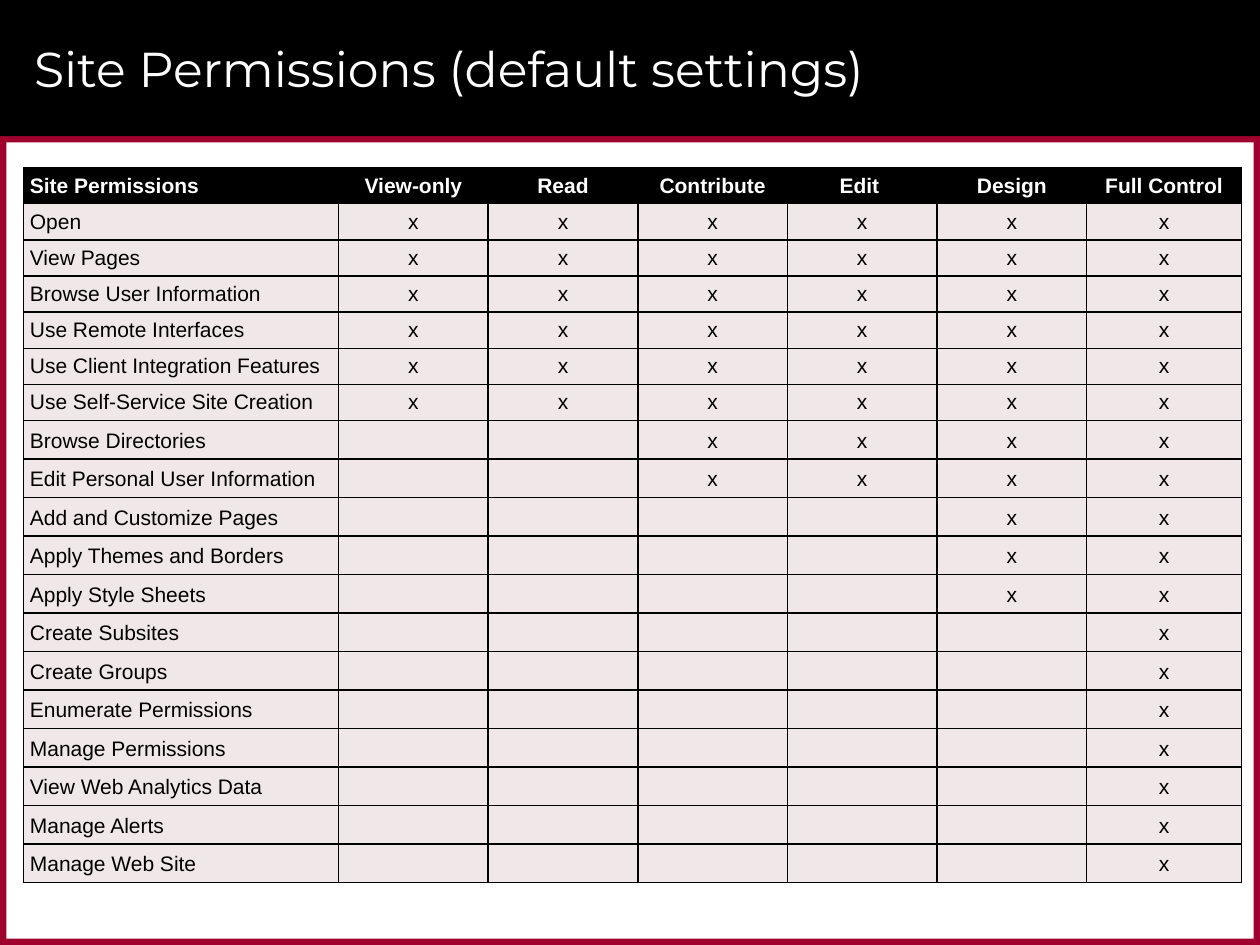
from lxml.etree import SubElement
from pptx import Presentation
from pptx.dml.color import RGBColor
from pptx.enum.shapes import MSO_SHAPE
from pptx.enum.text import MSO_ANCHOR, PP_ALIGN
from pptx.oxml import parse_xml
from pptx.oxml.ns import nsdecls, qn
from pptx.util import Pt

BLACK = RGBColor(0x00, 0x00, 0x00)
WHITE = RGBColor(0xFF, 0xFF, 0xFF)
CRIMSON = RGBColor(0x9F, 0x00, 0x2D)
BLUSH = RGBColor(0xF0, 0xE7, 0xE8)

SLIDE_WIDTH, SLIDE_HEIGHT = 720, 540
HEADER_HEIGHT = 77.76
FRAME_THICKNESS = 3.6
CELL_MARGIN = 3.6

LEVELS = ["View-only", "Read", "Contribute", "Edit ", "Design", "Full Control"]
COLUMN_WIDTHS = [180] + [85.5] * 5 + [88.5]
FULL_ROW_HEIGHT, PARTIAL_ROW_HEIGHT = 20.66, 21.85

# Each permission belongs to its lowest level and to every level above it.
PERMISSIONS_BY_LOWEST_LEVEL = {
    "View-only": ["Open", "View Pages", "Browse User Information",
                  "Use Remote Interfaces", "Use Client Integration Features",
                  "Use Self-Service Site Creation"],
    "Contribute": ["Browse Directories", "Edit Personal User Information"],
    "Design": ["Add and Customize Pages", "Apply Themes and Borders",
               "Apply Style Sheets"],
    "Full Control": ["Create Subsites", "Create Groups", "Enumerate Permissions",
                     "Manage Permissions", "View Web Analytics Data",
                     "Manage Alerts", "Manage Web Site"],
}


def add_band(slide, left, top, width, height, color):
    band = slide.shapes.add_shape(
        MSO_SHAPE.RECTANGLE, Pt(left), Pt(top), Pt(width), Pt(height))
    band.shadow.inherit = False
    band.fill.solid()
    band.fill.fore_color.rgb = color
    band.line.fill.background()


def add_frame(slide, left, top, width, height):
    right, bottom = left + width, top + height
    thickness = FRAME_THICKNESS
    add_band(slide, left, top, width, thickness, CRIMSON)
    add_band(slide, left, bottom - thickness, width, thickness, CRIMSON)
    add_band(slide, right - thickness, top, thickness, height, CRIMSON)
    add_band(slide, left, top, thickness, height, CRIMSON)


def add_header(slide, left, top, width, height, text):
    add_band(slide, left, top, width, height, BLACK)
    title = slide.shapes.title
    title.element.getparent().append(title.element)  # in front of the band
    title.left, title.top = Pt(left + 12.24), Pt(top + 5.76)
    title.width, title.height = Pt(width - 41.76), Pt(height - 11.52)
    frame = title.text_frame
    frame.text = text
    frame.word_wrap = True
    frame.vertical_anchor = MSO_ANCHOR.MIDDLE
    paragraph = frame.paragraphs[0]
    paragraph.alignment = PP_ALIGN.LEFT
    paragraph.font.name = "Montserrat"
    paragraph.font.size = Pt(28)
    paragraph.font.color.rgb = WHITE


def set_borders(cell):
    properties = cell._tc.get_or_add_tcPr()
    for index, side in enumerate(("lnL", "lnR", "lnT", "lnB")):
        line = parse_xml(f'<a:{side} {nsdecls("a")} w="{Pt(1)}"/>')
        fill = SubElement(line, qn("a:solidFill"))
        SubElement(fill, qn("a:srgbClr"), val=str(BLACK))
        properties.insert(index, line)


def format_cell(cell, text, is_header, is_label):
    cell.fill.solid()
    cell.fill.fore_color.rgb = BLACK if is_header else BLUSH
    set_borders(cell)
    cell.margin_left = cell.margin_right = Pt(CELL_MARGIN)
    # Blank cells take no vertical margin, so they never stretch their row.
    cell.margin_top = cell.margin_bottom = Pt(CELL_MARGIN if text else 0)
    if not text:
        return
    cell.text = text
    cell.vertical_anchor = MSO_ANCHOR.BOTTOM
    paragraph = cell.text_frame.paragraphs[0]
    paragraph.alignment = PP_ALIGN.LEFT if is_label else PP_ALIGN.CENTER
    paragraph.font.name = "Arial"
    paragraph.font.size = Pt(12)
    paragraph.font.bold = is_header
    paragraph.font.color.rgb = WHITE if is_header else BLACK


def permission_rows():
    rows = [["Site Permissions"] + LEVELS]
    for lowest_level, permissions in PERMISSIONS_BY_LOWEST_LEVEL.items():
        first = LEVELS.index(lowest_level)
        marks = [""] * first + ["x"] * (len(LEVELS) - first)
        rows += [[permission] + marks for permission in permissions]
    return rows


def add_permission_table(slide, left, top):
    rows = permission_rows()
    heights = [FULL_ROW_HEIGHT if all(row) else PARTIAL_ROW_HEIGHT for row in rows]
    table = slide.shapes.add_table(
        len(rows), len(COLUMN_WIDTHS), Pt(left), Pt(top),
        Pt(sum(COLUMN_WIDTHS)), Pt(sum(heights))).table
    table.horz_banding = False
    for column, width in zip(table.columns, COLUMN_WIDTHS):
        column.width = Pt(width)
    for row_index, (texts, height) in enumerate(zip(rows, heights)):
        table.rows[row_index].height = Pt(height)
        for column_index, text in enumerate(texts):
            format_cell(table.cell(row_index, column_index), text,
                        row_index == 0, column_index == 0)


def main():
    presentation = Presentation()
    presentation.slide_width = Pt(SLIDE_WIDTH)
    presentation.slide_height = Pt(SLIDE_HEIGHT)
    slide = presentation.slides.add_slide(presentation.slide_layouts[5])
    add_frame(slide, 0, HEADER_HEIGHT, SLIDE_WIDTH, SLIDE_HEIGHT - HEADER_HEIGHT)
    add_header(slide, 0, 0, SLIDE_WIDTH, HEADER_HEIGHT,
               "Site Permissions (default settings)")
    add_permission_table(slide, 13.5, 95.76)
    presentation.save("out.pptx")


if __name__ == "__main__":
    main()
